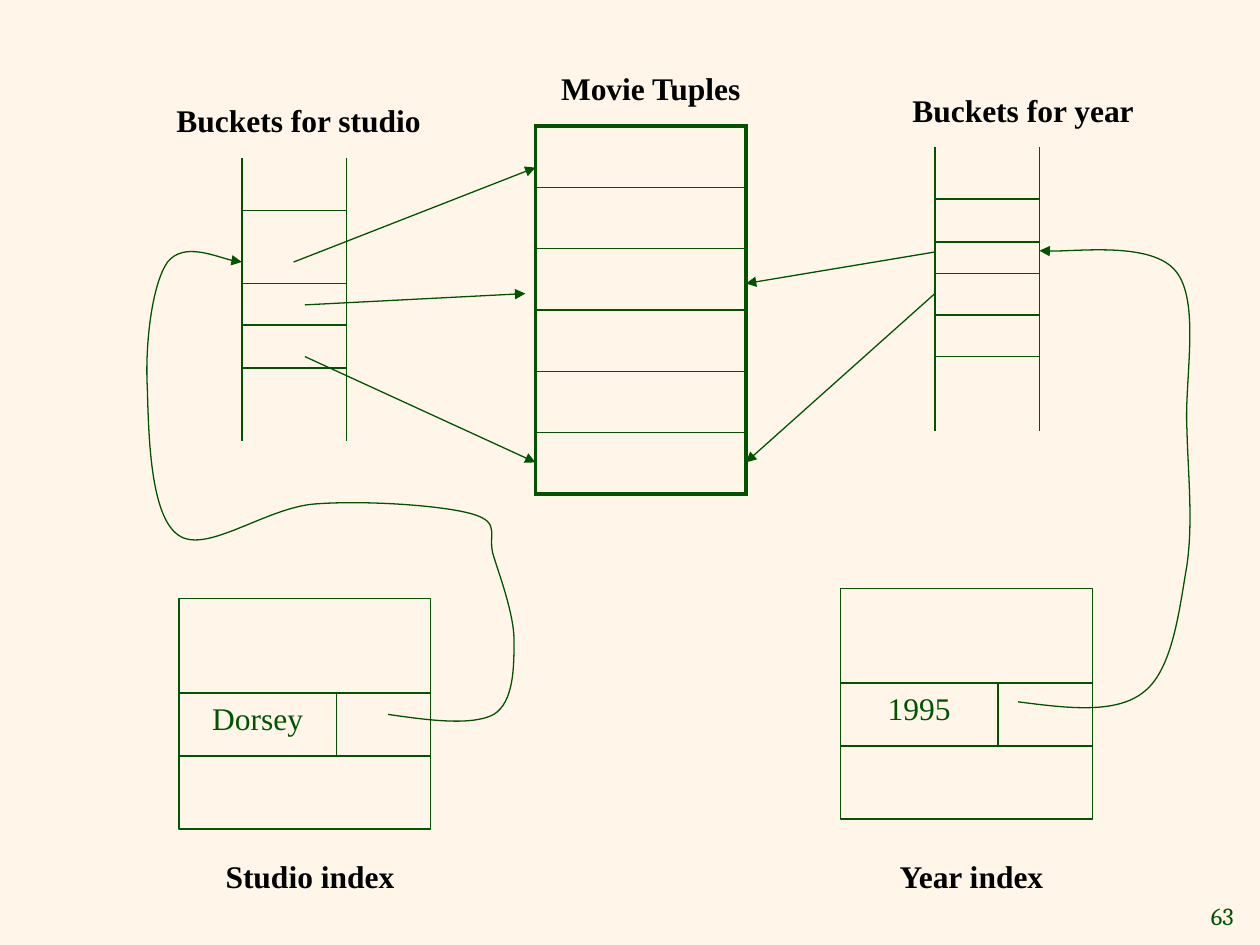
from dataclasses import dataclass

from lxml import etree
from pptx import Presentation, util as u
from pptx.dml.color import RGBColor
from pptx.enum import shapes, text
from pptx.oxml import ns

GREEN = RGBColor(0x00, 0x54, 0x00)
BLACK = RGBColor(0x00, 0x00, 0x00)
CREAM = RGBColor(0xFF, 0xF6, 0xE9)
THIN, THICK = 1, 2.25
TUPLE_COUNT = 6

Point = tuple[float, float]


@dataclass
class Label:
    wording: str
    left: float
    top: float
    width: float = 2.58
    height: float = 0.4
    color: RGBColor = BLACK
    bold: bool = True
    font: str = "Times New Roman"
    size: int = 18
    align: text.PP_ALIGN = text.PP_ALIGN.CENTER
    wrap: bool = True
    anchor: text.MSO_ANCHOR = text.MSO_ANCHOR.TOP


@dataclass
class Index:
    left: float
    top: float
    key: str


@dataclass
class Bucket:
    left: float
    top: float
    rungs: list[float]


@dataclass
class Pointer:
    start: Point
    end: Point


@dataclass
class Curve:
    start: Point
    segments: list[tuple[Point, Point, Point]]


PAGE_NUMBER = Label("63", 9.45, 7.1, 0.44, 0.33, GREEN, False, "Cambria", 14,
                    text.PP_ALIGN.RIGHT, False, text.MSO_ANCHOR.MIDDLE)
LABELS = [
    Label("Studio index", 1.17, 6.75),
    Label("Year index", 6.42, 6.75),
    Label("Buckets for studio", 1.08, 0.75),
    Label("Movie Tuples", 4, 0.5, 2.33),
    Label("Buckets for year", 6.83, 0.67),
]
INDEXES = [Index(1.42, 4.75, "Dorsey"), Index(6.67, 4.67, "1995")]
BUCKETS = [
    Bucket(1.92, 1.25, [1, 1.33, 1.67, 0.42]),
    Bucket(7.42, 1.17, [1, 1.33, 1.66, 0.41, 0.75]),
]
STUDIO_POINTERS = [
    Pointer((2.33, 2.08), (4.25, 1.33)),
    Pointer((2.42, 2.42), (4.17, 2.33)),
    Pointer((2.42, 2.83), (4.25, 3.67)),
]
YEAR_POINTERS = [
    Pointer((7.42, 2), (5.92, 2.25)),
    Pointer((7.42, 2.33), (5.92, 3.67)),
]
STUDIO_CURVE = Curve((3.08, 5.67), [
    ((3.42, 5.72), (3.75, 5.76), (3.92, 5.67)),
    ((4.08, 5.57), (4.08, 5.29), (4.08, 5.08)),
    ((4.08, 4.88), (3.97, 4.58), (3.92, 4.42)),
    ((3.86, 4.25), (3.99, 4.15), (3.75, 4.08)),
    ((3.51, 4.01), (2.89, 3.97), (2.5, 4)),
    ((2.11, 4.03), (1.64, 4.4), (1.42, 4.25)),
    ((1.19, 4.1), (1.18, 3.44), (1.17, 3.08)),
    ((1.15, 2.72), (1.21, 2.25), (1.33, 2.08)),
    ((1.46, 1.92), (1.82, 2.08), (1.92, 2.08)),
])
YEAR_CURVE = Curve((8.08, 5.57), [
    ((8.47, 5.62), (8.86, 5.67), (9.08, 5.49)),
    ((9.31, 5.31), (9.36, 4.83), (9.42, 4.49)),
    ((9.47, 4.14), (9.43, 3.79), (9.42, 3.4)),
    ((9.4, 3.01), (9.53, 2.39), (9.33, 2.15)),
    ((9.14, 1.92), (8.44, 2.01), (8.25, 1.99)),
])


def apply(target, values: dict) -> None:
    for name, value in values.items():
        setattr(target, name, value)


def style_line(outlined, arrow: bool = False) -> None:
    outlined.line.color.rgb = GREEN
    outlined.line.width = u.Pt(0.75)
    if arrow:
        etree.SubElement(outlined.line._get_or_add_ln(), ns.qn("a:tailEnd"), type="triangle")


def draw_line(canvas, start: Point, end: Point, arrow: bool = False) -> None:
    line = canvas.add_connector(
        shapes.MSO_CONNECTOR.STRAIGHT, *map(u.Inches, (*start, *end)))
    style_line(line, arrow)
    etree.SubElement(line._element.spPr, ns.qn("a:effectLst"))


def draw_pointer(canvas, pointer: Pointer) -> None:
    draw_line(canvas, pointer.start, pointer.end, arrow=True)


def draw_label(canvas, label: Label) -> None:
    box = canvas.add_textbox(
        *map(u.Inches, (label.left, label.top, label.width, label.height)))
    apply(box.text_frame, {
        "word_wrap": label.wrap,
        "vertical_anchor": label.anchor,
        "auto_size": text.MSO_AUTO_SIZE.SHAPE_TO_FIT_TEXT,
    })
    paragraph = box.text_frame.paragraphs[0]
    paragraph.alignment = label.align
    run = paragraph.add_run()
    run.text = label.wording
    apply(run.font, {"name": label.font, "size": u.Pt(label.size), "bold": label.bold})
    run.font.color.rgb = label.color


def draw_index(canvas, index: Index) -> None:
    group = canvas.add_group_shape().shapes
    left, right, divider = index.left, index.left + 2, index.left + 1.25
    upper, lower = index.top + 0.75, index.top + 1.25
    frame = group.add_shape(
        shapes.MSO_SHAPE.RECTANGLE, *map(u.Inches, (left, index.top, 2, 1.83)))
    frame.shadow.inherit = False
    frame.fill.solid()
    frame.fill.fore_color.rgb = CREAM
    style_line(frame)
    for y in (upper, lower):
        draw_line(group, (left, y), (right, y))
    draw_line(group, (divider, upper), (divider, lower))
    draw_label(group, Label(index.key, left, upper, 1.25, color=GREEN, bold=False))


def draw_bucket(canvas, bucket: Bucket) -> None:
    group = canvas.add_group_shape().shapes
    left, right = bucket.left, bucket.left + 0.83
    for x in (left, right):
        draw_line(group, (x, bucket.top), (x, bucket.top + 2.25))
    for rung in bucket.rungs:
        draw_line(group, (left, bucket.top + rung), (right, bucket.top + rung))


def draw_curve(canvas, curve: Curve) -> None:
    controls = [tuple(map(u.Inches, point)) for segment in curve.segments for point in segment]
    builder = canvas.build_freeform(*map(u.Inches, curve.start))
    builder.add_line_segments(controls, close=False)
    route = builder.convert_to_shape()
    legs = list(route._element.iter(ns.qn("a:lnTo")))
    for first in range(0, len(legs), 3):
        bend = etree.SubElement(legs[first].getparent(), ns.qn("a:cubicBezTo"))
        for leg in legs[first:first + 3]:
            bend.append(leg[0])
            leg.getparent().remove(leg)
    route.shadow.inherit = False
    route.fill.background()
    style_line(route, arrow=True)


def draw_tuples(canvas) -> None:
    table = canvas.add_table(
        TUPLE_COUNT, 1, *map(u.Inches, (4.25, 1, 1.67, 2.92))).table
    apply(table, {"first_row": False, "horz_banding": False})
    for row in range(TUPLE_COUNT):
        cell = table.cell(row, 0)
        borders = {
            "L": THICK,
            "R": THICK,
            "T": THICK if row == 0 else THIN,
            "B": THICK if row == TUPLE_COUNT - 1 else THIN,
        }
        properties = cell._tc.get_or_add_tcPr()
        for side, width in borders.items():
            border = etree.SubElement(properties, ns.qn(f"a:ln{side}"), w=str(u.Pt(width)))
            fill = etree.SubElement(border, ns.qn("a:solidFill"))
            etree.SubElement(fill, ns.qn("a:srgbClr"), val=str(GREEN))
        cell.fill.background()


def main() -> None:
    deck = Presentation()
    apply(deck, {"slide_width": u.Inches(10), "slide_height": u.Inches(7.5)})
    slide = deck.slides.add_slide(deck.slide_layouts[6])
    slide.background.fill.solid()
    slide.background.fill.fore_color.rgb = CREAM
    canvas = slide.shapes
    draw_label(canvas, PAGE_NUMBER)
    draw_tuples(canvas)
    for draw, items in ((draw_index, INDEXES), (draw_bucket, BUCKETS),
                        (draw_curve, [STUDIO_CURVE]), (draw_pointer, STUDIO_POINTERS),
                        (draw_curve, [YEAR_CURVE]), (draw_pointer, YEAR_POINTERS),
                        (draw_label, LABELS)):
        for item in items:
            draw(canvas, item)
    deck.save("out.pptx")


if __name__ == "__main__":
    main()
